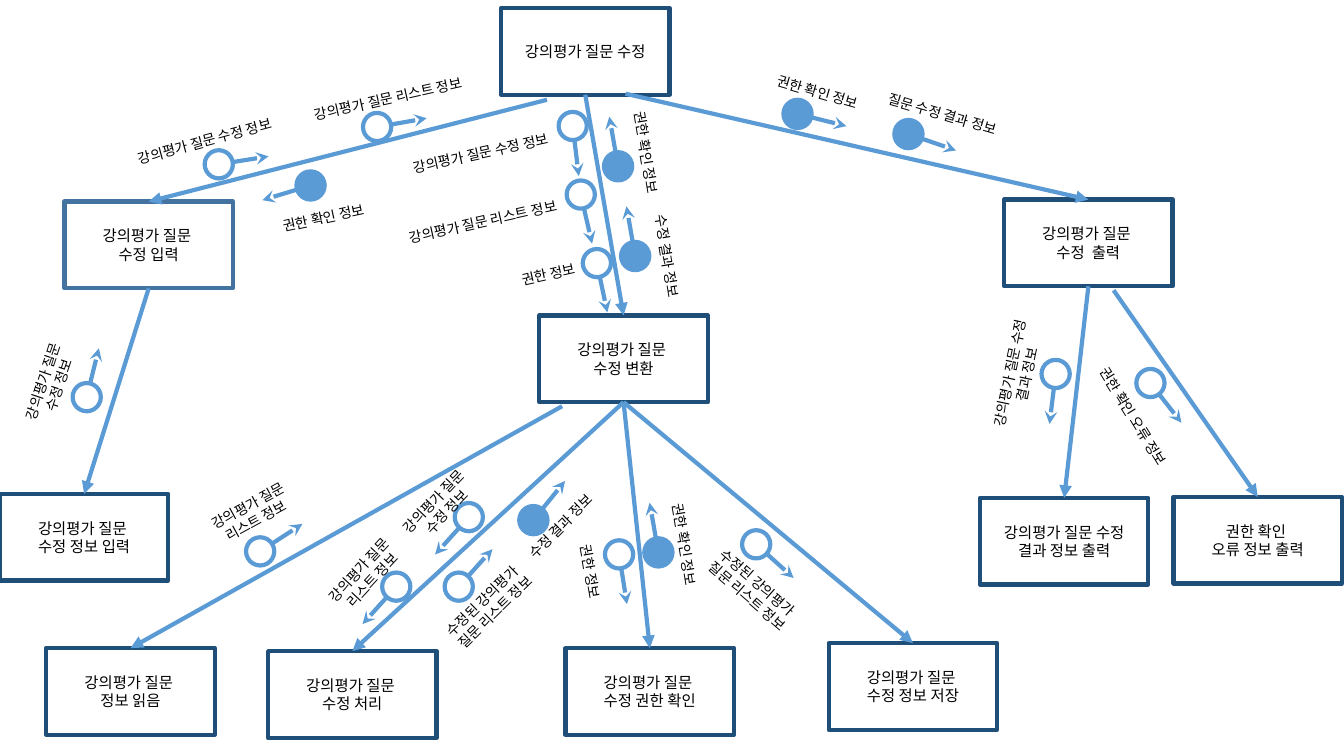
from math import cos, radians, sin

from pptx import Presentation
from pptx.dml.color import RGBColor
from pptx.enum.shapes import MSO_CONNECTOR, MSO_SHAPE
from pptx.enum.text import MSO_ANCHOR, PP_ALIGN
from pptx.oxml.ns import qn
from pptx.util import Inches, Pt
from lxml import etree

LINE, RECT, OVAL = MSO_CONNECTOR.STRAIGHT, MSO_SHAPE.RECTANGLE, MSO_SHAPE.OVAL
MIDDLE, CENTER = MSO_ANCHOR.MIDDLE, PP_ALIGN.CENTER
NAVY = RGBColor(0x1F, 0x4E, 0x79)
STEEL = RGBColor(0x43, 0x73, 0x9E)
BLUE = RGBColor(0x5B, 0x9B, 0xD5)
WHITE = RGBColor(255, 255, 255)
BLACK = RGBColor(0, 0, 0)
FACE = "Noto Sans CJK KR"
WIDE, HIGH = 1.67, 0.86
RING, REACH = 0.14, 0.5
TOP, BOTTOM = 0, 2

NODES = {
    "root": (4.97, 0.08, "강의평가 질문 수정"),
    "input": (0.64, 2, "강의평가 질문 \n수정 입력"),
    "change": (5.35, 3.13, "강의평가 질문 \n수정 변환"),
    "output": (9.96, 1.98, "강의평가 질문 \n수정  출력"),
    "entry": (0, 4.9, "강의평가 질문 \n수정 정보 입력"),
    "read": (0.46, 6.43, "강의평가 질문 \n정보 읽음"),
    "process": (2.66, 6.46, "강의평가 질문 \n수정 처리"),
    "check": (5.61, 6.43, "강의평가 질문 \n수정 권한 확인"),
    "save": (8.22, 6.38, "강의평가 질문 \n수정 정보 저장"),
    "result": (9.72, 4.94, "강의평가 질문 수정 결과 정보 출력"),
    "error": (11.64, 4.93, "권한 확인 \n오류 정보 출력"),
}
LINKS = [
    ("root", "input", (-0.38, 0.05)), ("root", "change", None),
    ("root", "output", (0.4, -0.01)), ("input", "entry", None),
    ("change", "read", (-0.61, 0.04)), ("change", "process", None),
    ("change", "check", None), ("change", "save", None),
    ("output", "result", None), ("output", "error", (0.25, 0.04)),
]
EDIT, ITEMS = "강의평가 질문 수정 정보", "강의평가 질문 리스트 정보"
RIGHT, GRANT, DONE = "권한 정보", "권한 확인 정보", "수정 결과 정보"
FRESH = "수정된 강의평가 \n질문 리스트 정보"
SLIM, BROAD = 1.14, 1.94
FLAGS = [
    ((2.17, 1.63, -9), (2.03, 1.4, 344.8, BROAD, EDIT)),
    ((3.74, 1.26, -10), (3.85, 0.98, 347.5, BROAD, ITEMS)),
    ((5.68, 1.25, 83), (4.77, 1.52, 347.5, BROAD, EDIT)),
    ((5.76, 1.93, 77), (4.79, 2.2, 347.5, BROAD, ITEMS)),
    ((5.92, 2.61, 78), (5.44, 2.72, 347.5, BROAD, RIGHT)),
    ((0.86, 3.94, -76), (0.5, 3.81, 288.5, SLIM, "강의평가 질문\n 수정 정보")),
    ((2.58, 5.47, -33), (2.5, 5.09, 331.2, SLIM, ITEMS)),
    ((4.65, 5.13, 132), (4.36, 5.03, 313.5, BROAD, "강의평가 질문\n 수정 정보")),
    ((3.93, 5.82, 132), (3.63, 5.7, 312.8, BROAD, "강의평가 질문 \n리스트 정보")),
    ((4.55, 5.82, -48), (4.85, 6.01, 315.5, BROAD, FRESH)),
    ((6.14, 5.5, 81), (5.86, 5.67, 80.2, BROAD, RIGHT)),
    ((7.5, 5.4, 42), (7.47, 5.85, 40.9, BROAD, FRESH)),
    ((10.47, 3.71, 97), (10.1, 3.7, 281.8, BROAD, "강의평가 질문 수정 \n결과 정보")),
    ((11.41, 3.8, 52), (11.24, 4.13, 58.3, BROAD, "권한 확인 오류 정보")),
]
CHECKS = [
    ((3.08, 1.84, 163), (3.21, 2.16, 348, BROAD, GRANT)),
    ((6.13, 1.65, -100), (6.41, 1.51, 80.7, BROAD, GRANT)),
    ((6.3, 2.54, -100), (6.62, 2.54, 80.7, BROAD, DONE)),
    ((7.91, 1.13, 14), (8.11, 0.91, 16.2, BROAD, GRANT)),
    ((9.01, 1.33, 19), (9.35, 1.13, 16.3, BROAD, "질문 수정 결과 정보")),
    ((5.29, 5.16, -51), (5.56, 5.22, 315.2, BROAD, DONE)),
    ((6.53, 5.48, -100), (6.79, 5.4, 80.7, BROAD, GRANT)),
]


def apply(item, **looks):
    """Set each named format value on an item."""
    for name, value in looks.items():
        setattr(item, name, value)


def write(shape, text, size):
    """Fill a shape with centred black text."""
    frame = shape.text_frame
    frame.text = text
    apply(frame, word_wrap=True, vertical_anchor=MIDDLE)
    for para in frame.paragraphs:
        para.alignment = CENTER
        for run in para.runs:
            apply(run.font, name=FACE, size=Pt(size))
            run.font.color.rgb = BLACK
            props = run.font._element
            etree.SubElement(props, qn("a:ea")).set("typeface", FACE)


def stroke(item, color):
    """Give an item a three point line."""
    item.line.color.rgb = color
    item.line.width = Pt(3)


def draw_shape(shapes, kind, box, fill, edge):
    """Add a flat preset shape in a box, unfilled when fill is None."""
    shape = shapes.add_shape(kind, *map(Inches, box))
    shape.shadow.inherit = False
    if fill is None:
        shape.fill.background()
    else:
        shape.fill.solid()
        shape.fill.fore_color.rgb = fill
    stroke(shape, edge)
    return shape


def draw_arrow(shapes, start, end, head):
    """Add a flat blue arrow between two points."""
    arrow = shapes.add_connector(LINE, *map(Inches, (*start, *end)))
    stroke(arrow, BLUE)
    etree.SubElement(arrow.line._get_or_add_ln(), qn("a:tailEnd")).set("type", head)
    etree.SubElement(arrow._element.spPr, qn("a:effectLst"))
    return arrow


def draw_node(slide, box, text, edge):
    """Add a module box with its name."""
    node = draw_shape(slide.shapes, RECT, box, WHITE, edge)
    write(node, text, 11)
    return node


def draw_link(slide, nodes, upper, lower, shift):
    """Join two modules, the start shifted from the bottom centre if asked."""
    left, top, _ = NODES[upper]
    right, base, _ = NODES[lower]
    move, drop = shift or (0, 0)
    start = (left + WIDE / 2 + move, top + HIGH + drop)
    link = draw_arrow(slide.shapes, start, (right + WIDE / 2, base), "triangle")
    if shift is None:
        link.begin_connect(nodes[upper], BOTTOM)
    link.end_connect(nodes[lower], TOP)


def draw_token(slide, x, y, angle, fill):
    """Add a circle with an arrow leaving it at an angle."""
    group = slide.shapes.add_group_shape().shapes
    draw_shape(group, OVAL, (x - RING, y - RING, 2 * RING, 2 * RING), fill, BLUE)
    way = cos(radians(angle)), sin(radians(angle))
    start, tip = [(x + far * way[0], y + far * way[1]) for far in (RING, REACH)]
    draw_arrow(group, start, tip, "stealth")


def draw_label(slide, x, y, turn, wide, text):
    """Add a turned label centred on a point."""
    high = 0.44 if "\n" in text or wide == SLIM else 0.27
    box = (x - wide / 2, y - high / 2, wide, high)
    label = slide.shapes.add_textbox(*map(Inches, box))
    label.rotation = turn
    write(label, text, 10)


def draw_chart(slide):
    """Build the structure chart from its modules, links and signals."""
    nodes = {}
    for name, (left, top, text) in NODES.items():
        edge = STEEL if name == "input" else NAVY
        nodes[name] = draw_node(slide, (left, top, WIDE, HIGH), text, edge)
    for upper, lower, shift in LINKS:
        draw_link(slide, nodes, upper, lower, shift)
    for signals, fill in ((FLAGS, None), (CHECKS, BLUE)):
        for token, label in signals:
            draw_token(slide, *token, fill)
            draw_label(slide, *label)


deck = Presentation()
apply(deck, slide_width=Inches(13.33), slide_height=Inches(7.5))
draw_chart(deck.slides.add_slide(deck.slide_layouts[6]))
deck.save("out.pptx")
